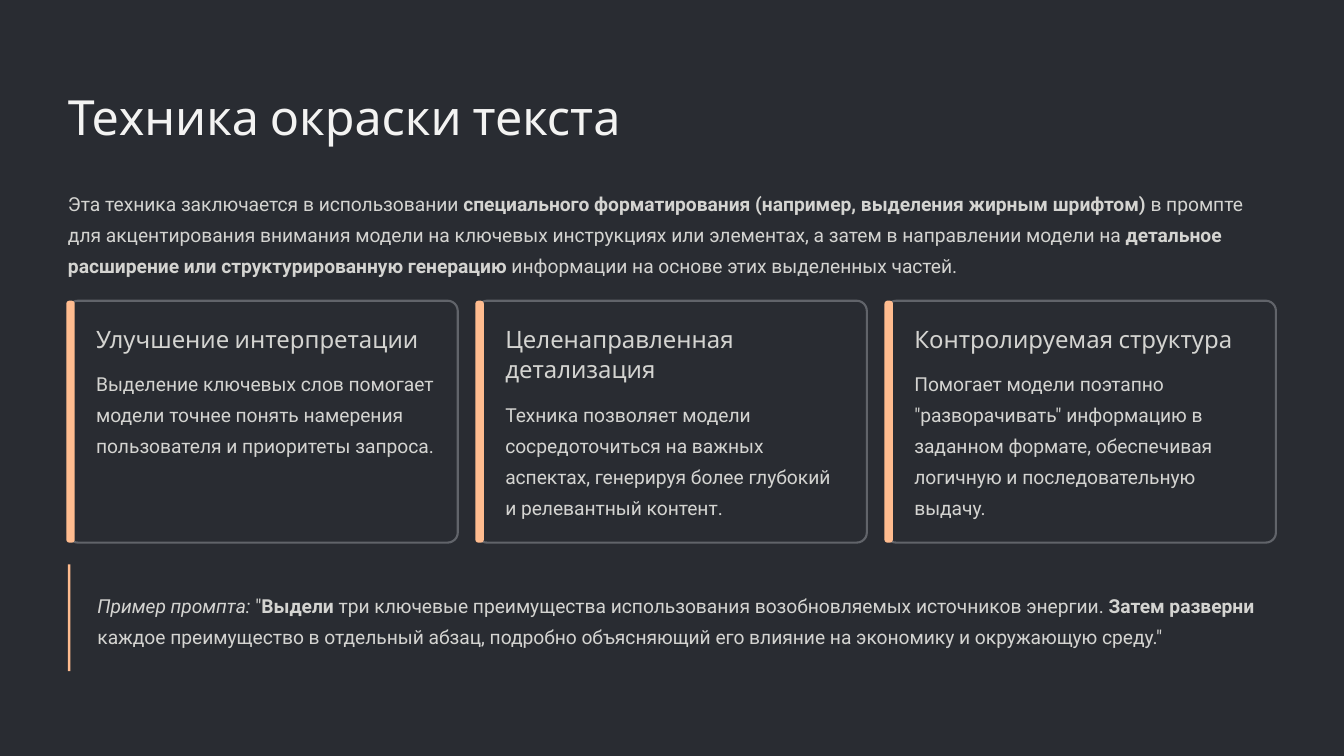
from pptx import Presentation
from pptx.dml.color import RGBColor
from pptx.enum.shapes import MSO_SHAPE
from pptx.util import Inches, Pt

RECT = MSO_SHAPE.RECTANGLE
ROUNDED = MSO_SHAPE.ROUNDED_RECTANGLE
DARK, GREY, PEACH = "292C32", "61646A", "FFBC8F"
WHITE, LIGHT = "F3F3F2", "D4D4D1"

# Text styles: font attributes, colour and line spacing
TITLE = ({"name": "Cabin", "size": Pt(41.5)}, WHITE, Pt(52))
HEADING = ({"name": "Cabin", "size": Pt(20.5)}, LIGHT, Pt(26))
BODY = ({"name": "Roboto", "size": Pt(16.5)}, LIGHT, Pt(26.5))
PLAIN, BOLD, ITALIC = {}, {"bold": True}, {"italic": True}


def rgb(value):
    return RGBColor.from_string(value)


def add_text(left, top, width, height, style, runs):
    frame = slide.shapes.add_textbox(
        Inches(left), Inches(top), Inches(width), Inches(height)).text_frame
    frame.word_wrap = True
    for side in ("left", "top", "right", "bottom"):
        setattr(frame, f"margin_{side}", 0)
    font_values, color, spacing = style
    paragraph = frame.paragraphs[0]
    paragraph.line_spacing = spacing
    for words, emphasis in runs:
        run = paragraph.add_run()
        run.text = words
        for name, value in {**font_values, **emphasis}.items():
            setattr(run.font, name, value)
        run.font.color.rgb = rgb(color)


def add_block(kind, left, top, width, height, fill, corner=None, outline=None):
    block = slide.shapes.add_shape(
        kind, Inches(left), Inches(top), Inches(width), Inches(height))
    block.shadow.inherit = False
    block.fill.solid()
    block.fill.fore_color.rgb = rgb(fill)
    if corner:
        block.adjustments[0] = corner
    if outline:
        block.line.color.rgb = rgb(outline)
        block.line.width = Pt(1.8)
    else:
        block.line.fill.background()


prs = Presentation()
prs.slide_width, prs.slide_height = Inches(16), Inches(9)
slide = prs.slides.add_slide(prs.slide_layouts[6])
slide.background.fill.solid()
slide.background.fill.fore_color.rgb = rgb(DARK)

# Title and introduction
add_text(0.81, 1.01, 14.37, 0.73, TITLE, [("Техника окраски текста", PLAIN)])
add_text(0.81, 2.2, 14.37, 1.12, BODY, [
    ("Эта техника заключается в использовании ", PLAIN),
    ("специального форматирования (например, выделения жирным шрифтом)", BOLD),
    (" в промпте для акцентирования внимания модели на ключевых инструкциях "
     "или элементах, а затем в направлении модели на ", PLAIN),
    ("детальное расширение или структурированную генерацию", BOLD),
    (" информации на основе этих выделенных частей.", PLAIN),
])

# Three benefit cards: heading, heading height, explanation
benefits = [
    ("Улучшение интерпретации", 0.36,
     "Выделение ключевых слов помогает модели точнее понять намерения "
     "пользователя и приоритеты запроса."),
    ("Целенаправленная детализация", 0.73,
     "Техника позволяет модели сосредоточиться на важных аспектах, "
     "генерируя более глубокий и релевантный контент."),
    ("Контролируемая структура", 0.36,
     'Помогает модели поэтапно "разворачивать" информацию в заданном '
     "формате, обеспечивая логичную и последовательную выдачу."),
]
CARD_TOP, CARD_HEIGHT, CARD_PITCH = 3.58, 2.88, 4.87
HEADING_TOP, TEXT_WIDTH = 3.84, 4.05
for index, (heading, heading_height, explanation) in enumerate(benefits):
    left = 0.81 + index * CARD_PITCH
    add_block(ROUNDED, left, CARD_TOP, 4.64, CARD_HEIGHT, DARK, 0.042, GREY)
    add_block(ROUNDED, left - 0.02, CARD_TOP, 0.1, CARD_HEIGHT, PEACH, 0.349)
    text_left = left + 0.335
    add_text(text_left, HEADING_TOP, TEXT_WIDTH, heading_height, HEADING,
             [(heading, PLAIN)])
    add_text(text_left, HEADING_TOP + heading_height + 0.14, TEXT_WIDTH, 1.49,
             BODY, [(explanation, PLAIN)])

# Example prompt with its accent bar
add_text(1.16, 6.98, 14.02, 0.74, BODY, [
    ("Пример промпта:", ITALIC),
    (' "', PLAIN),
    ("Выдели", BOLD),
    (" три ключевые преимущества использования возобновляемых источников "
     "энергии. ", PLAIN),
    ("Затем разверни", BOLD),
    (" каждое преимущество в отдельный абзац, подробно объясняющий его "
     'влияние на экономику и окружающую среду."', PLAIN),
])
add_block(RECT, 0.81, 6.72, 0.03, 1.27, PEACH)

prs.save("out.pptx")
